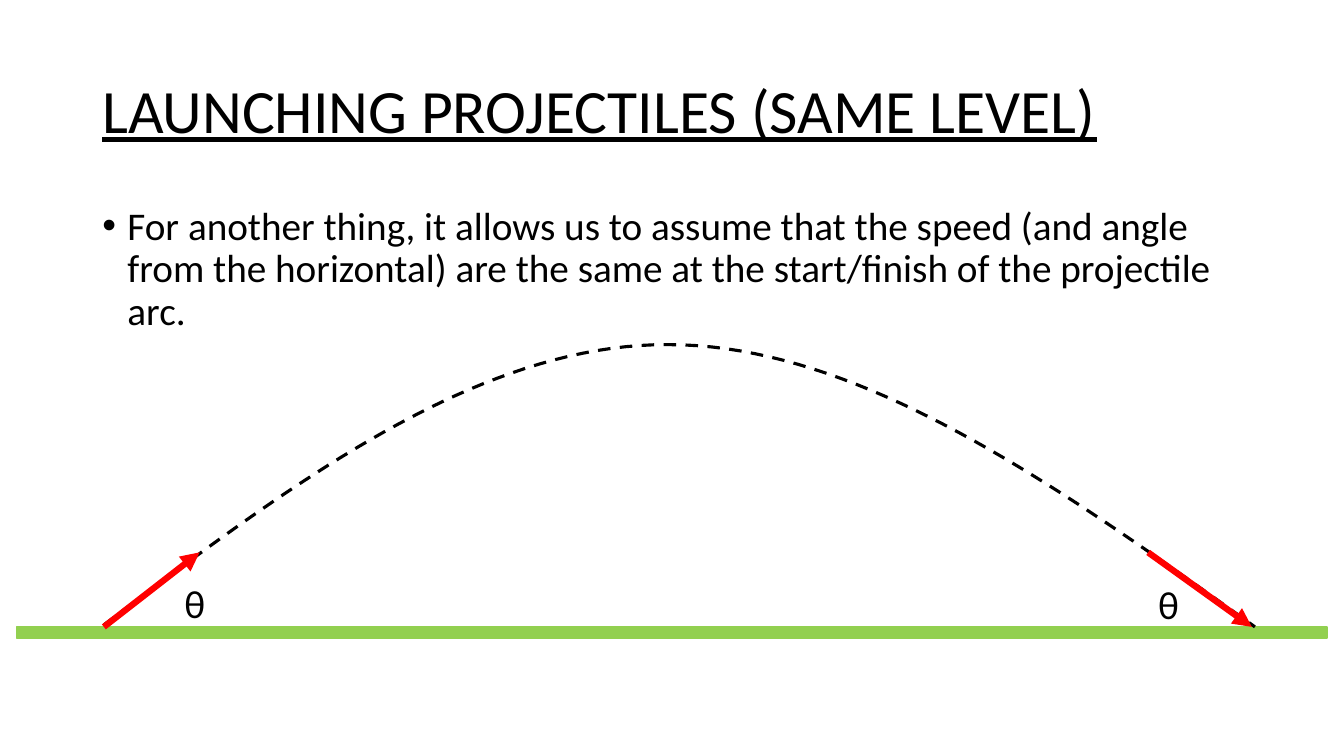
from dataclasses import dataclass

from lxml.etree import SubElement as Sub
from pptx import Presentation
from pptx.dml.color import RGBColor as RGB
from pptx.enum.dml import MSO_LINE as Dash
from pptx.enum.shapes import MSO_CONNECTOR as Conn, MSO_SHAPE as Shape
from pptx.enum.text import MSO_ANCHOR as Anchor
from pptx.oxml.ns import qn
from pptx.slide import Slide
from pptx.util import Pt

Point = tuple[float, float]


@dataclass(frozen=True)
class Theme:
    """Colours, font and type sizes of the slide."""
    ink: RGB = RGB(0, 0, 0)
    grass: RGB = RGB(0x92, 0xD0, 0x50)
    arrow: RGB = RGB(0xFF, 0, 0)
    font: str = "Calibri"
    title: float = 44
    body: float = 28


@dataclass(frozen=True)
class Box:
    """A place on the slide, in points."""
    left: float
    top: float
    width: float
    height: float

    def emu(self) -> tuple[Pt, Pt, Pt, Pt]:
        """Return the four lengths for a shape call."""
        return Pt(self.left), Pt(self.top), Pt(self.width), Pt(self.height)


@dataclass(frozen=True)
class Launch:
    """A velocity arrow with the place of its angle label."""
    start: Point
    end: Point
    label: Box


@dataclass(frozen=True)
class Bend:
    """A cubic curve given by its four control points."""
    a: Point
    b: Point
    c: Point
    d: Point

    def at(self, t: float) -> Point:
        """Return the point at fraction t of the curve."""
        u = 1 - t
        x, y = (
            u**3 * a + 3 * u * u * t * b + 3 * u * t * t * c + t**3 * d
            for a, b, c, d in zip(self.a, self.b, self.c, self.d)
        )
        return x, y


THEME = Theme()
GROUND = 447.8
PEAK = (477.4, 246.2)
STEPS = 40
ARC = (
    Bend((74.2, 446.4), (207.4, 346.3), (340.6, 245.5), PEAK),
    Bend(PEAK, (614.2, 246.2), (755.3, 347), (896.4, GROUND)),
)
LAUNCHES = (
    Launch((74.2, GROUND), (142.6, 394.6), Box(124.6, 414, 35.3, 50.4)),
    Launch((820.1, 394.6), (894.2, GROUND), Box(820.1, 414.7, 35.3, 50.4)),
)


def write(slide: Slide, text: str, box: Box, *, size: float = THEME.body,
          line: bool = False, bullet: bool = False,
          anchor: Anchor = Anchor.TOP) -> None:
    """Add a text box with one formatted paragraph."""
    frame = slide.shapes.add_textbox(*box.emu()).text_frame
    frame.word_wrap = True
    frame.vertical_anchor = anchor
    para = frame.paragraphs[0]
    para.line_spacing = 0.9
    if bullet:
        props = para._p.get_or_add_pPr()
        props.set("marL", str(Pt(18)))
        props.set("indent", str(Pt(-18)))
        Sub(props, qn("a:buFont"), typeface="Arial")
        Sub(props, qn("a:buChar"), char="•")
    run = para.add_run()
    run.text = text
    font = run.font
    font.name, font.size, font.underline = THEME.font, Pt(size), line
    font.color.rgb = THEME.ink


def ground(slide: Slide, box: Box) -> None:
    """Add the level strip of grass."""
    strip = slide.shapes.add_shape(Shape.RECTANGLE, *box.emu())
    strip.shadow.inherit = False
    strip.fill.solid()
    strip.fill.fore_color.rgb = THEME.grass
    strip.line.color.rgb = THEME.grass
    strip.line.width = Pt(1)


def flight(slide: Slide) -> None:
    """Add the dashed arc of the projectile."""
    dots = [bend.at(i / STEPS) for bend in ARC for i in range(1, STEPS + 1)]
    x, y = ARC[0].a
    pen = slide.shapes.build_freeform(Pt(x), Pt(y))
    pen.add_line_segments([(Pt(x), Pt(y)) for x, y in dots], close=False)
    curve = pen.convert_to_shape()
    curve.shadow.inherit = False
    curve.fill.background()
    curve.line.color.rgb = THEME.ink
    curve.line.width = Pt(2.25)
    curve.line.dash_style = Dash.DASH


def arrow(slide: Slide, start: Point, end: Point) -> None:
    """Add a velocity arrow."""
    ends = (Pt(n) for n in (*start, *end))
    link = slide.shapes.add_connector(Conn.STRAIGHT, *ends)
    link.line.color.rgb = THEME.arrow
    link.line.width = Pt(4.5)
    Sub(link.line._get_or_add_ln(), qn("a:tailEnd"), type="triangle")
    Sub(link._element.spPr, qn("a:effectLst"))


def main() -> None:
    """Build and save the slide."""
    deck = Presentation()
    deck.slide_width, deck.slide_height = Pt(960), Pt(540)
    slide = deck.slides.add_slide(deck.slide_layouts[6])
    write(slide, "LAUNCHING PROJECTILES (SAME LEVEL)",
          Box(66, 28.8, 828, 104.4), size=THEME.title, line=True,
          anchor=Anchor.MIDDLE)
    write(slide, "For another thing, it allows us to assume that the speed "
          "(and angle from the horizontal) are the same at the start/finish "
          "of the projectile arc.", Box(66, 144, 828, 126), bullet=True)
    ground(slide, Box(12, GROUND, 936, 8))
    flight(slide)
    for shot in LAUNCHES:
        write(slide, "θ", shot.label)
        arrow(slide, shot.start, shot.end)
    deck.save("out.pptx")


if __name__ == "__main__":
    main()
